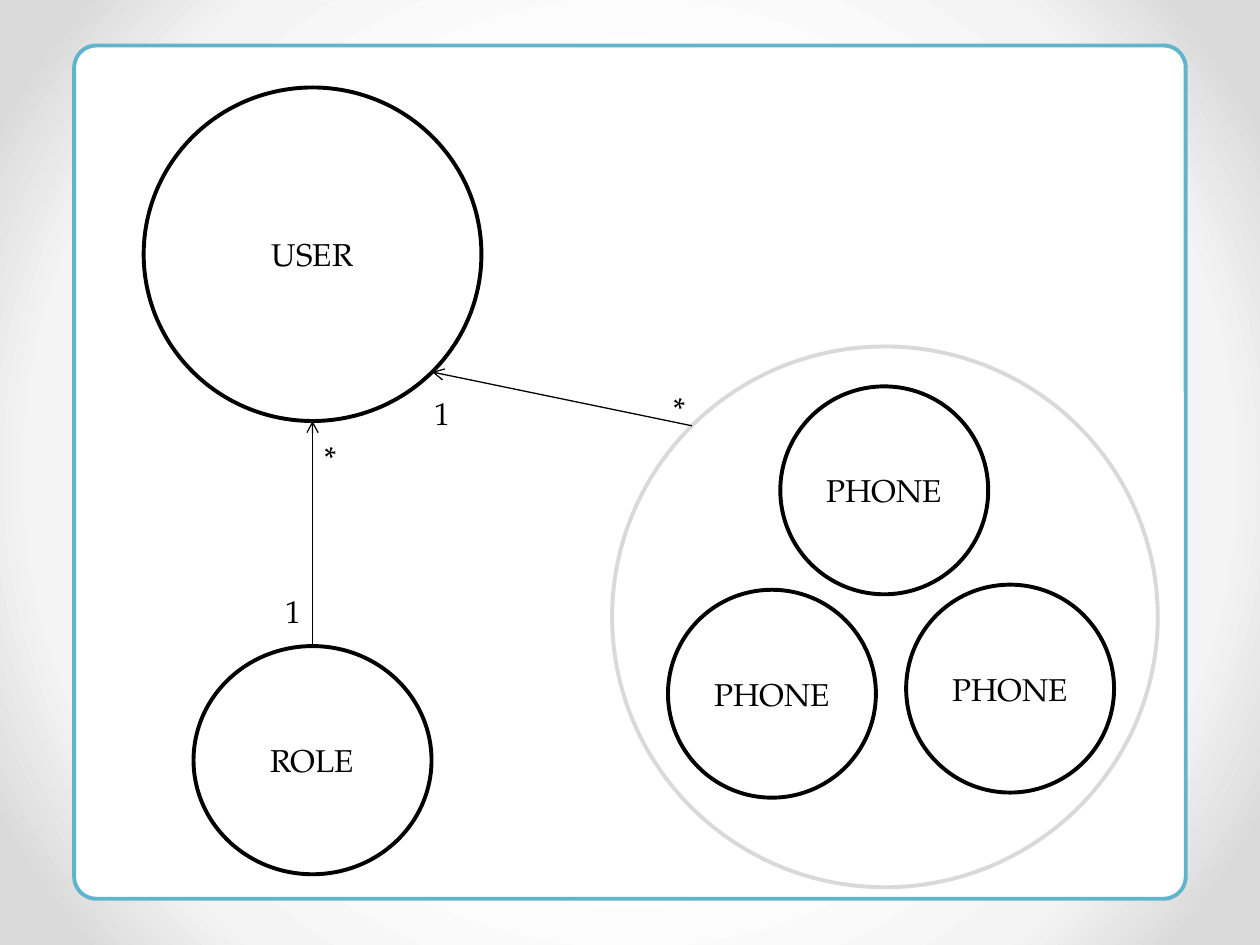
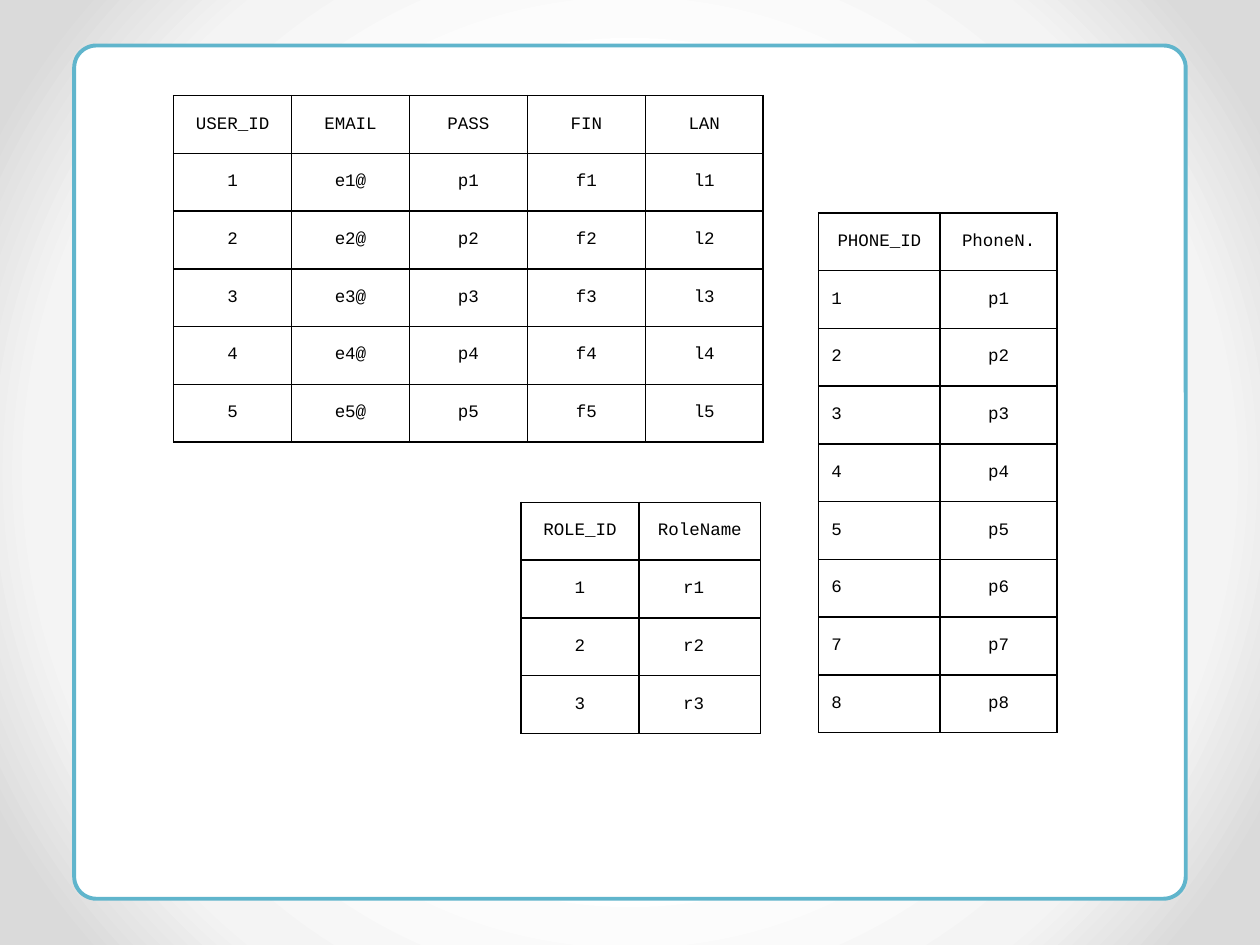
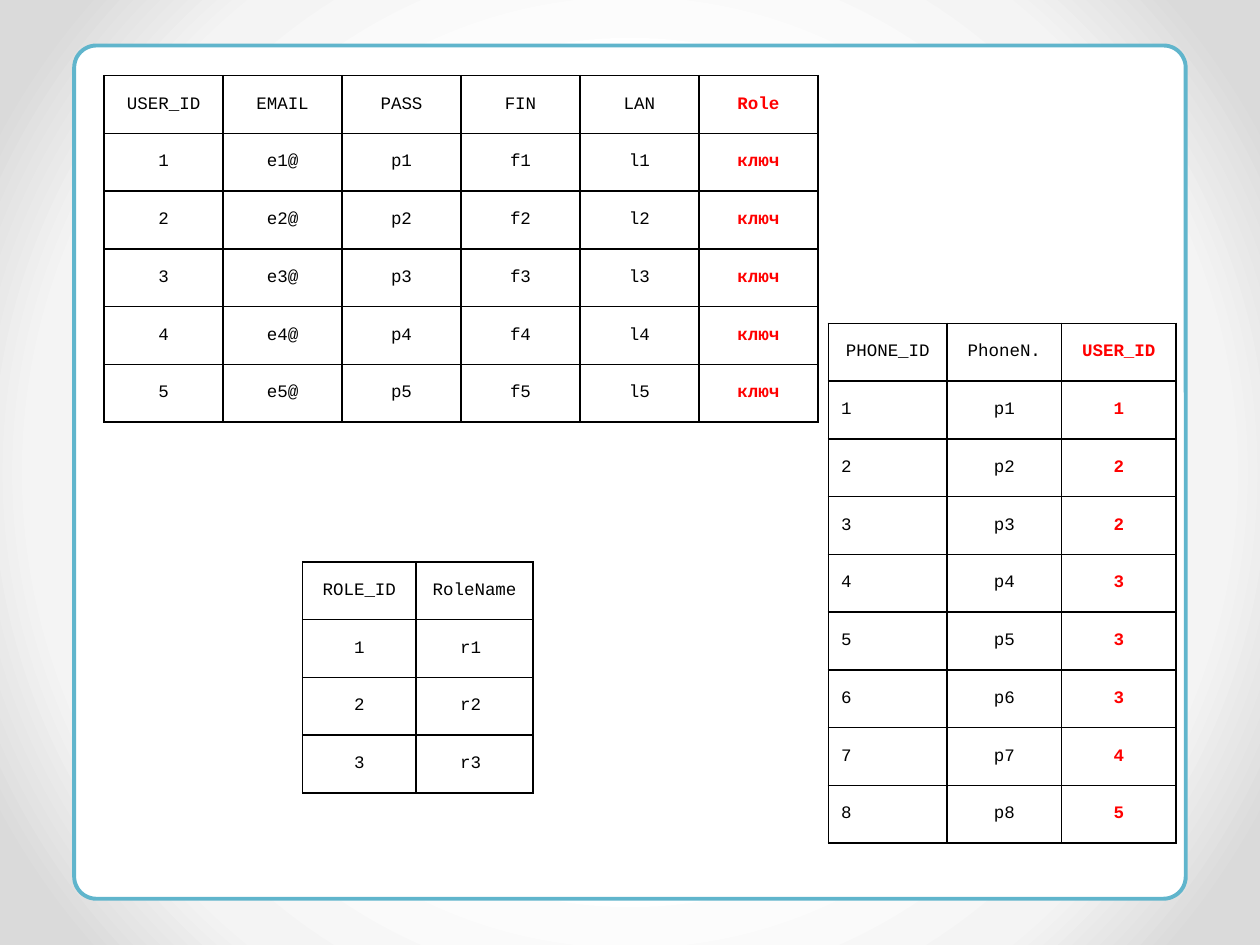
from lxml.etree import SubElement
from pptx import Presentation
from pptx.dml.color import RGBColor
from pptx.enum.shapes import MSO_CONNECTOR, MSO_SHAPE
from pptx.enum.text import MSO_ANCHOR, MSO_AUTO_SIZE, PP_ALIGN
from pptx.oxml import parse_xml
from pptx.oxml.ns import nsdecls, qn
from pptx.util import Pt

BLACK = RGBColor(0x00, 0x00, 0x00)
WHITE = RGBColor(0xFF, 0xFF, 0xFF)
GREY = RGBColor(0xD9, 0xD9, 0xD9)
TEAL = RGBColor(0x60, 0xB5, 0xCC)
RED = RGBColor(0xFF, 0x00, 0x00)
BACKDROP_STOPS = (
    (50, WHITE),
    (76, RGBColor(0xF4, 0xF4, 0xF4)),
    (92, RGBColor(0xDA, 0xDA, 0xDA)),
)

DIAGRAM_FONT = "TeX Gyre Pagella"
TABLE_FONT = "Courier New"
ROW_HEIGHT = 33
CELL_MARGIN = 7.2
ROLE_INDENT = 18
PHONE_SIZE = 118.8

USERS = [["USER_ID", "EMAIL", "PASS", "FIN", "LAN"]] + [
    [f"{n}", f"e{n}@", f"p{n}", f"f{n}", f"l{n}"] for n in range(1, 6)
]
ROLES = [["ROLE_ID", "RoleName"]] + [[f"{n}", f"r{n}"] for n in range(1, 4)]
PHONES = [["PHONE_ID", "PhoneN."]] + [[f"{n}", f"p{n}"] for n in range(1, 9)]
USER_ROLES = ["Role"] + ["ключ"] * 5
PHONE_OWNERS = ["USER_ID", "1", "2", "2", "3", "3", "3", "4", "5"]


def write_text(frame, text, font=DIAGRAM_FONT, size=18, color=BLACK, bold=False,
               align=PP_ALIGN.LEFT):
    para = frame.paragraphs[0]
    para.alignment = align
    span = para.add_run()
    span.text = text
    span.font.name = font
    span.font.size = Pt(size)
    span.font.bold = bold
    span.font.color.rgb = color


def set_backdrop(master):
    fill = master.background.fill
    fill.solid()
    solid = master.element.find(".//" + qn("p:bgPr")).find(qn("a:solidFill"))
    stops = "".join(
        f'<a:gs pos="{position * 1000}"><a:srgbClr val="{color}"/></a:gs>'
        for position, color in BACKDROP_STOPS
    )
    gradient = parse_xml(
        f'<a:gradFill {nsdecls("a")} rotWithShape="1"><a:gsLst>{stops}</a:gsLst>'
        '<a:path path="circle">'
        '<a:fillToRect l="50000" t="50000" r="50000" b="50000"/>'
        '</a:path></a:gradFill>'
    )
    solid.getparent().replace(solid, gradient)


def add_outlined(shapes, kind, left, top, width, height, line=BLACK, fill=WHITE):
    shape = shapes.add_shape(kind, Pt(left), Pt(top), Pt(width), Pt(height))
    shape.shadow.inherit = False
    if fill is None:
        shape.fill.background()
    else:
        shape.fill.solid()
        shape.fill.fore_color.rgb = fill
    shape.line.color.rgb = line
    shape.line.width = Pt(2.25)
    return shape


def add_entity(shapes, text, left, top, width, height):
    circle = add_outlined(shapes, MSO_SHAPE.OVAL, left, top, width, height)
    circle.text_frame.vertical_anchor = MSO_ANCHOR.MIDDLE
    write_text(circle.text_frame, text, align=PP_ALIGN.CENTER)
    return circle


def add_arrow(page, start_x, start_y, end_x, end_y):
    arrow = page.shapes.add_connector(
        MSO_CONNECTOR.STRAIGHT, start_x, start_y, end_x, end_y
    )
    arrow.line.color.rgb = BLACK
    arrow.line.width = Pt(0.75)
    properties = arrow.element.spPr
    SubElement(properties.find(qn("a:ln")), qn("a:tailEnd"), type="arrow")
    SubElement(properties, qn("a:effectLst"))
    return arrow


def add_multiplicity(page, text, left, top):
    box = page.shapes.add_textbox(Pt(left), Pt(top), Pt(67.5), Pt(29))
    box.text_frame.word_wrap = True
    box.text_frame.auto_size = MSO_AUTO_SIZE.SHAPE_TO_FIT_TEXT
    write_text(box.text_frame, text)


def add_borders(cell):
    properties = cell._tc.get_or_add_tcPr()
    for side in ("lnL", "lnR", "lnT", "lnB"):
        line = SubElement(properties, qn(f"a:{side}"), w=str(Pt(1)))
        fill = SubElement(line, qn("a:solidFill"))
        SubElement(fill, qn("a:srgbClr"), val=str(BLACK))


def add_grid(page, rows, left, top, widths, left_column=None, indent=0, key_column=None):
    frame = page.shapes.add_table(
        len(rows), len(widths), Pt(left), Pt(top), Pt(sum(widths)), Pt(ROW_HEIGHT * len(rows))
    )
    table = frame.table
    table.first_row = False
    table.horz_banding = False
    for column, width in zip(table.columns, widths):
        column.width = Pt(width)
    for row_index, values in enumerate(rows):
        table.rows[row_index].height = Pt(ROW_HEIGHT)
        for column_index, value in enumerate(values):
            cell = table.cell(row_index, column_index)
            add_borders(cell)
            cell.fill.background()
            cell.vertical_anchor = MSO_ANCHOR.MIDDLE
            is_left = row_index > 0 and column_index == left_column
            is_key = column_index == key_column
            if is_left:
                cell.margin_left = Pt(CELL_MARGIN + indent)
            write_text(
                cell.text_frame, value, font=TABLE_FONT, size=10,
                color=RED if is_key else BLACK, bold=is_key,
                align=PP_ALIGN.LEFT if is_left else PP_ALIGN.CENTER,
            )


def add_page(deck):
    page = deck.slides.add_slide(deck.slide_layouts[6])
    panel = add_outlined(
        page.shapes, MSO_SHAPE.ROUNDED_RECTANGLE, 42.4, 26, 635.2, 487.6, line=TEAL
    )
    panel.adjustments[0] = 0.026
    return page


def with_key(rows, keys):
    return [row + [key] for row, key in zip(rows, keys)]


def build_diagram(page):
    user = add_entity(page.shapes, "USER", 82.1, 50, 193, 190.6)
    role = add_entity(page.shapes, "ROLE", 110.6, 369.2, 136, 130.4)

    phones = page.shapes.add_group_shape()
    for left, top in ((445.9, 220.8), (381.7, 337), (517.8, 334.1)):
        add_entity(phones.shapes, "PHONE", left, top, PHONE_SIZE, PHONE_SIZE)
    add_outlined(
        phones.shapes, MSO_SHAPE.OVAL, 349.8, 198, 311.8, 309, line=GREY, fill=None
    )

    role_arrow = add_arrow(
        page, role.left + role.width // 2, role.top,
        user.left + user.width // 2, user.top + user.height,
    )
    role_arrow.begin_connect(role, 0)
    add_arrow(page, Pt(395.4), Pt(243.3), Pt(247), Pt(212.6))

    for text, left, top in (
        ("1", 156.2, 334.8), ("*", 178.6, 247), ("*", 378, 218.9), ("1", 241.2, 221.5)
    ):
        add_multiplicity(page, text, left, top)


def build_separate_tables(page):
    add_grid(page, USERS, 99.2, 54.6, [67.4] * 5)
    add_grid(page, ROLES, 297.6, 287.1, [67.6, 69.4], left_column=1, indent=ROLE_INDENT)
    add_grid(page, PHONES, 467.8, 121.7, [69.4, 66.9], left_column=0)


def build_linked_tables(page):
    add_grid(page, with_key(USERS, USER_ROLES), 59.5, 43.2, [68] * 6, key_column=5)
    add_grid(page, ROLES, 172.9, 321.1, [64.8, 66.9], left_column=1, indent=ROLE_INDENT)
    add_grid(
        page, with_key(PHONES, PHONE_OWNERS), 473.4, 184.8, [67.8, 65.4, 65.4],
        left_column=0, key_column=2,
    )


def main():
    deck = Presentation()
    deck.slide_width = Pt(720)
    deck.slide_height = Pt(540)
    set_backdrop(deck.slide_master)
    for build in (build_diagram, build_separate_tables, build_linked_tables):
        build(add_page(deck))
    deck.save("out.pptx")


if __name__ == "__main__":
    main()
